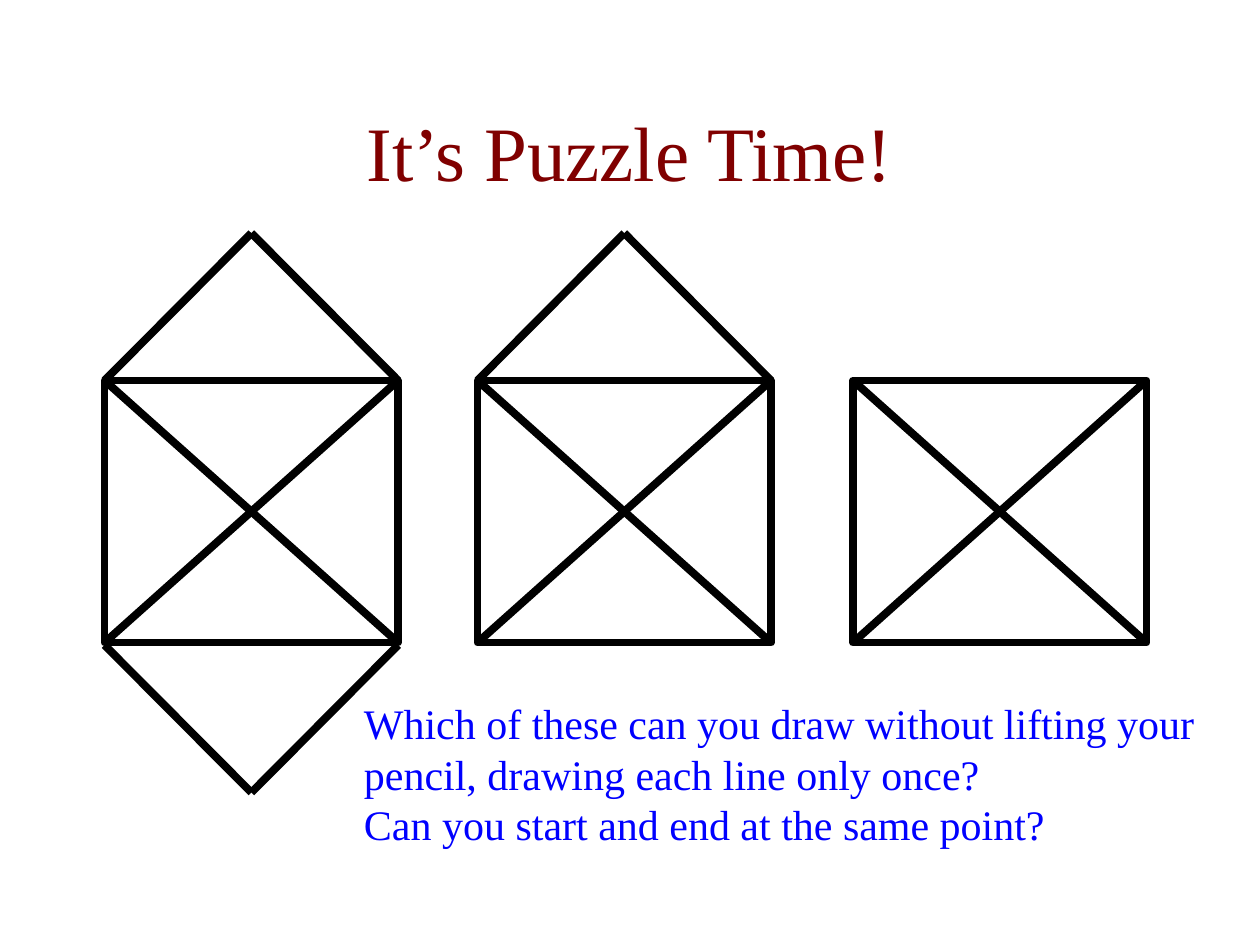
from lxml.etree import SubElement
from pptx import Presentation
from pptx.dml.color import RGBColor
from pptx.enum.shapes import MSO_CONNECTOR as Connector, MSO_SHAPE as Preset
from pptx.enum.text import MSO_ANCHOR as Anchor, MSO_AUTO_SIZE as AutoSize, PP_ALIGN as Align
from pptx.oxml.ns import qn
from pptx.util import Inches, Pt

MAROON = RGBColor(0x80, 0x00, 0x00)
BLUE = RGBColor(0x00, 0x00, 0xFF)
BLACK = RGBColor(0x00, 0x00, 0x00)
FONT = "Times New Roman"
STROKE = Pt(4.5)
PEAK = 1.17
QUESTIONS = (
    "Which of these can you draw without lifting your",
    "pencil, drawing each line only once?",
    "Can you start and end at the same point?",
)


def format_runs(paragraph, size, color):
    """Give every run of a paragraph the slide font, a size and a colour."""
    for run in paragraph.runs:
        run.font.name = FONT
        run.font.size = Pt(size)
        run.font.color.rgb = color


def add_stroke(slide, start, end):
    """Draw one thick black line between two points in inches."""
    stroke = slide.shapes.add_connector(
        Connector.STRAIGHT, *(Inches(value) for value in (*start, *end))
    )
    stroke.line.color.rgb = BLACK
    stroke.line.width = STROKE
    SubElement(stroke._element.spPr, qn("a:effectLst"))


def add_title(slide, left, top, width, height):
    """Place the slide title in the given box."""
    title = slide.shapes.title
    title.left, title.top = Inches(left), Inches(top)
    title.width, title.height = Inches(width), Inches(height)
    frame = title.text_frame
    frame.text = "It’s Puzzle Time!"
    frame.vertical_anchor = Anchor.MIDDLE
    frame.paragraphs[0].alignment = Align.CENTER
    format_runs(frame.paragraphs[0], 44, MAROON)


def add_puzzle(slide, left, top, width, height, roof=False, keel=False):
    """Draw a crossed box with an optional peak above and below it."""
    square = slide.shapes.add_shape(
        Preset.RECTANGLE, Inches(left), Inches(top), Inches(width), Inches(height)
    )
    square.shadow.inherit = False
    square.fill.background()
    square.line.color.rgb = BLACK
    square.line.width = STROKE

    right, bottom, middle = left + width, top + height, left + width / 2
    add_stroke(slide, (left, top), (right, bottom))
    add_stroke(slide, (left, bottom), (right, top))
    for wanted, base, tip in ((roof, top, top - PEAK), (keel, bottom + 0.02, bottom + 0.02 + PEAK)):
        if wanted:
            for corner in (left, right):
                add_stroke(slide, (corner, base), (middle, tip))


def add_questions(slide, left, top, width, height):
    """Write the puzzle questions in the given box."""
    box = slide.shapes.add_textbox(Inches(left), Inches(top), Inches(width), Inches(height))
    frame = box.text_frame
    frame.word_wrap = False
    frame.auto_size = AutoSize.SHAPE_TO_FIT_TEXT
    frame.text = "\n".join(QUESTIONS)
    for paragraph in frame.paragraphs:
        paragraph.alignment = Align.LEFT
        format_runs(paragraph, 24, BLUE)


def main():
    """Build the puzzle slide and save it."""
    deck = Presentation()
    deck.slide_width, deck.slide_height = Inches(10), Inches(7.5)
    slide = deck.slides.add_slide(deck.slide_layouts[5])
    add_title(slide, 0.75, 0.72, 8.5, 0.95)
    add_puzzle(slide, 0.83, 3.02, 2.33, 2.08, roof=True, keel=True)
    add_puzzle(slide, 3.79, 3.02, 2.33, 2.08, roof=True)
    add_puzzle(slide, 6.77, 3.02, 2.33, 2.08)
    add_questions(slide, 2.79, 5.49, 6.87, 1.3)
    deck.save("out.pptx")


if __name__ == "__main__":
    main()
